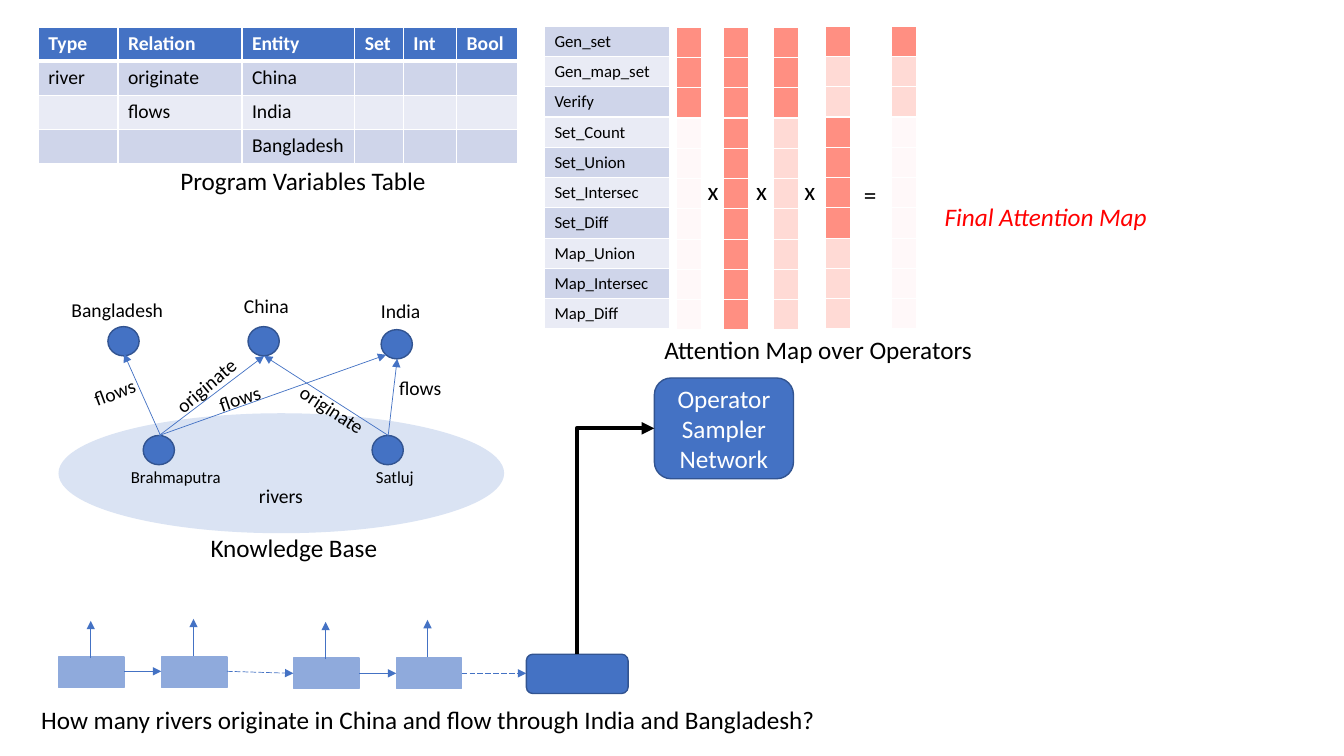
from pptx import Presentation
from pptx.dml.color import RGBColor
from pptx.enum.dml import MSO_LINE
from pptx.enum.shapes import MSO_CONNECTOR, MSO_SHAPE
from pptx.enum.text import MSO_ANCHOR, MSO_AUTO_SIZE, PP_ALIGN
from pptx.oxml.ns import qn
from pptx.util import Emu, Inches, Pt
from lxml.etree import SubElement

COLORS = {
    "blue": "4472C4", "outline": "325491", "cell": "8FAADC", "pool": "DAE3F3",
    "band": "CFD5EA", "light": "E9EBF5", "white": "FFFFFF", "black": "000000",
    "red": "FF0000", "high": "FF8F82", "middle": "FFDAD5", "faint": "FFF8F9",
}
LEVELS = ["faint", "middle", "high"]


def color(name):
    return RGBColor.from_string(COLORS[name])


def grid(count):
    """Length of a number of grid columns or rows, ten to the inch."""
    return Emu(round(count * Inches(0.1)))


class Painter:
    font = "Calibri"

    def __init__(self, page):
        self.shapes = page.shapes

    def style(self, para, size, ink="black", bold=False, italic=False):
        font = para.font
        font.name, font.size = self.font, Pt(size)
        font.bold, font.italic = bold, italic
        font.color.rgb = color(ink)

    def shape(self, kind, left, top, width, height, fill="blue", line="outline"):
        shape = self.shapes.add_shape(kind, *map(grid, (left, top, width, height)))
        shape.shadow.inherit = False
        shape.fill.solid()
        shape.fill.fore_color.rgb = color(fill)
        if line:
            shape.line.color.rgb = color(line)
            shape.line.width = Pt(1)
        else:
            shape.line.fill.background()
        return shape

    def text(self, words, left, top, width, height=3.4, size=14, turn=0,
             wrap=False, **look):
        box = self.shapes.add_textbox(*map(grid, (left, top, width, height)))
        box.rotation = turn
        frame = box.text_frame
        frame.word_wrap = wrap
        frame.auto_size = MSO_AUTO_SIZE.SHAPE_TO_FIT_TEXT
        frame.text = words
        self.style(frame.paragraphs[0], size, **look)

    def arrow(self, start, end, ink="blue", width=0.5, dashed=False,
              kind=MSO_CONNECTOR.STRAIGHT):
        arrow = self.shapes.add_connector(kind, *map(grid, (*start, *end)))
        arrow.line.color.rgb = color(ink)
        arrow.line.width = Pt(width)
        if dashed:
            arrow.line.dash_style = MSO_LINE.LONG_DASH
        SubElement(arrow.line._get_or_add_ln(), qn("a:tailEnd"), type="triangle")
        SubElement(arrow._element.spPr, qn("a:effectLst"))
        return arrow

    def bent_arrow(self, start, end, **look):
        """Arrow that goes up, then right: a one-corner connector turned by 90 degrees."""
        middle_x, middle_y = (start[0] + end[0]) / 2, (start[1] + end[1]) / 2
        half_x, half_y = (end[0] - start[0]) / 2, (start[1] - end[1]) / 2
        arrow = self.arrow((middle_x + half_y, middle_y + half_x),
                           (middle_x - half_y, middle_y - half_x),
                           kind=MSO_CONNECTOR.ELBOW, **look)
        properties = arrow._element.spPr
        properties.find(qn("a:xfrm")).set("rot", str(90 * 60000))
        properties.find(qn("a:prstGeom")).set("prst", "bentConnector2")

    def borders(self, cell, widths):
        properties = cell._tc.get_or_add_tcPr()
        for side, width in zip("LRTB", widths):
            line = SubElement(properties, qn(f"a:ln{side}"), w=str(Pt(width)))
            if width:
                fill = SubElement(line, qn("a:solidFill"))
                SubElement(fill, qn("a:srgbClr"), val=COLORS["white"])
            else:
                SubElement(line, qn("a:noFill"))

    def table(self, rows, fills, left, top, columns, row_height, size,
              header=False, side=1):
        frame = self.shapes.add_table(
            len(rows), len(columns), grid(left), grid(top),
            grid(sum(columns)), grid(row_height * len(rows)))
        table = frame.table
        table.first_row = table.horz_banding = False
        for column, width in zip(table.columns, columns):
            column.width = grid(width)
        for r, (words, fill) in enumerate(zip(rows, fills)):
            table.rows[r].height = grid(row_height)
            heading = header and r == 0
            for c, word in enumerate(words):
                cell = table.cell(r, c)
                above = 3 if header and r == 1 else 1
                self.borders(cell, (side, side, above, 3 if heading else 1))
                cell.fill.solid()
                cell.fill.fore_color.rgb = color(fill)
                para = cell.text_frame.paragraphs[0]
                if word:
                    para.text = word
                    self.style(para, size, "white" if heading else "black", heading)
                else:
                    para._p.get_or_add_endParaRPr().set("sz", str(size * 100))


deck = Presentation()
deck.slide_width, deck.slide_height = Inches(13.33), Inches(7.5)
page = deck.slides.add_slide(deck.slide_layouts[6])
paint = Painter(page)

# Program variables
variables = [
    ["Type", "Relation", "Entity", "Set", "Int", "Bool"],
    ["river", "originate", "China", "", "", ""],
    ["", "flows", "India", "", "", ""],
    ["", "", "Bangladesh", "", "", ""],
]
paint.table(variables, ["blue", "band", "light", "band"], 3.8, 2.7,
            [7.9, 12.3, 11.2, 4.8, 5.3, 6], 3.33, 14, header=True)
paint.text("Program Variables Table", 16.9, 15.9, 26.6, 4, 18)

# Knowledge base: rivers, countries and the relations between them
paint.shape(MSO_SHAPE.OVAL, 5.8, 41, 44.2, 11.9, "pool", None)
for left, top in [(10.7, 32.4), (24.6, 32.4), (37.8, 32.7), (14.2, 43.2), (36.9, 43.2)]:
    paint.shape(MSO_SHAPE.OVAL, left, top, 3.1, 2.9)
brahmaputra, satluj, china = (15.8, 43.2), (38.5, 43.2), (26.2, 35.3)
for start, end in [(brahmaputra, china), (satluj, china), (brahmaputra, (38.3, 35.2)),
                   (satluj, (39.4, 35.6)), ((16.5, 44.5), (12.3, 35.1))]:
    paint.arrow(start, end)
for words, left, top, width, turn in [
    ("Bangladesh", 6.1, 29.1, 11.2, 0), ("China", 23.2, 28.7, 6.5, 0),
    ("India", 36.8, 29.2, 6, 0), ("rivers", 24.7, 47.5, 6.4, 0),
    ("originate", 28.4, 39, 9.2, 32.8), ("originate", 15.9, 36.5, 9.2, 319.9),
    ("flows", 20.7, 37.8, 6.3, 341.3), ("flows", 8.3, 37.2, 6.3, 339.7),
    ("flows", 38.6, 36.8, 6.3, 0),
]:
    paint.text(words, left, top, width, turn=turn)
paint.text("Brahmaputra", 12, 45.8, 15, 3, 12, wrap=True)
paint.text("Satluj", 36.3, 45.8, 14.2, 3, 12, wrap=True)
paint.text("Knowledge Base", 19.9, 52.3, 19.3, 4, 18)

# Operators and their attention columns
operators = ["Gen_set", "Gen_map_set", "Verify", "Set_Count", "Set_Union",
             "Set_Intersec", "Set_Diff", "Map_Union", "Map_Intersec", "Map_Diff"]
paint.table([[name] for name in operators], ["band", "light"] * 5,
            54, 2.6, [12.4], 3, 12)
factors = ["2220000000", "2222222222", "2221111111", "2112222111"]
result = [min(levels) for levels in zip(*factors)]
places = [(67.1, 2.7), (71.8, 2.7), (76.8, 2.7), (81.9, 2.6), (88.5, 2.6)]
for levels, (left, top) in zip([*factors, result], places):
    paint.table([[""]] * len(operators), [LEVELS[int(level)] for level in levels],
                left, top, [2.3], 3, 12, side=0)
for left in (69.2, 74, 78.8):
    paint.text("x", left, 16.9, 2.8, 4, 18, wrap=True)
paint.text("=", 84.7, 17.3, 3.3, 4, 18)
paint.text("Attention Map over Operators", 64.9, 32.7, 32.9, 4, 18)
paint.text("Final Attention Map", 92.7, 19.5, 22.4, 4, 18, ink="red", italic=True)

# Question encoder
for left, top in [(5.8, 65.2), (16, 65.2), (29.1, 65.3), (39.3, 65.3)]:
    paint.shape(MSO_SHAPE.RECTANGLE, left, top, 6.5, 3, "cell", "cell")
for x, y in [(9, 65.3), (19.2, 65.1), (32.3, 65.4), (42.4, 65.2)]:
    paint.arrow((x, y), (x, y - 3.7))
paint.shape(MSO_SHAPE.ROUNDED_RECTANGLE, 52.2, 64.9, 10.1, 3.9)
for start, end, dashed in [
    ((12.3, 66.6), (16, 66.6), False), ((22.5, 66.6), (29.1, 66.8), True),
    ((35.6, 66.8), (39.3, 66.8), False), ((45.8, 66.8), (52.2, 66.8), True),
]:
    paint.arrow(start, end, dashed=dashed)
paint.text("How many rivers originate in China and flow through India and Bangladesh?",
           3.1, 69.4, 79.7, 4, 18)

# Operator sampler
sampler = paint.shape(MSO_SHAPE.ROUNDED_RECTANGLE, 64.9, 37.5, 13.8, 10)
frame = sampler.text_frame
frame.text = "Operator Sampler Network"
frame.word_wrap = True
frame.vertical_anchor = MSO_ANCHOR.MIDDLE
frame.paragraphs[0].alignment = PP_ALIGN.CENTER
paint.style(frame.paragraphs[0], 18, "white")
paint.bent_arrow((57.2, 64.9), (64.9, 42.5), ink="black", width=3)

deck.save("out.pptx")
